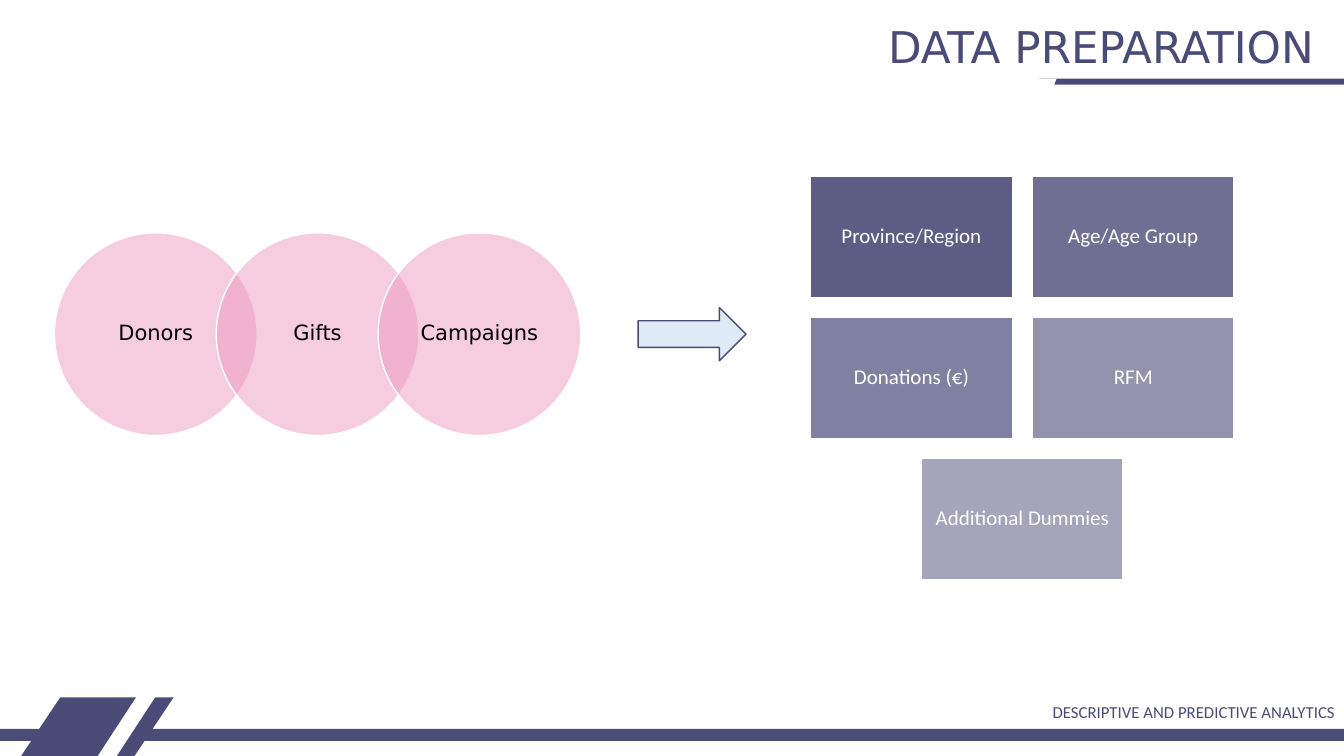
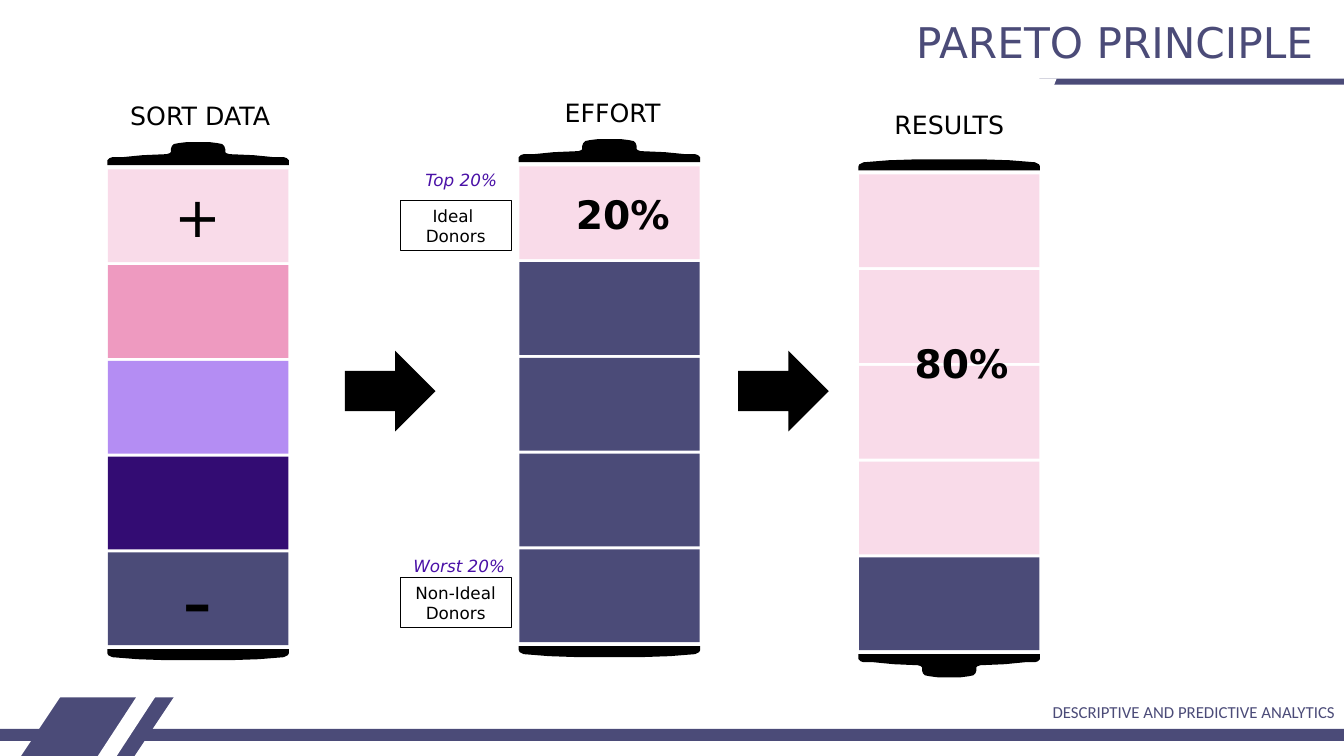
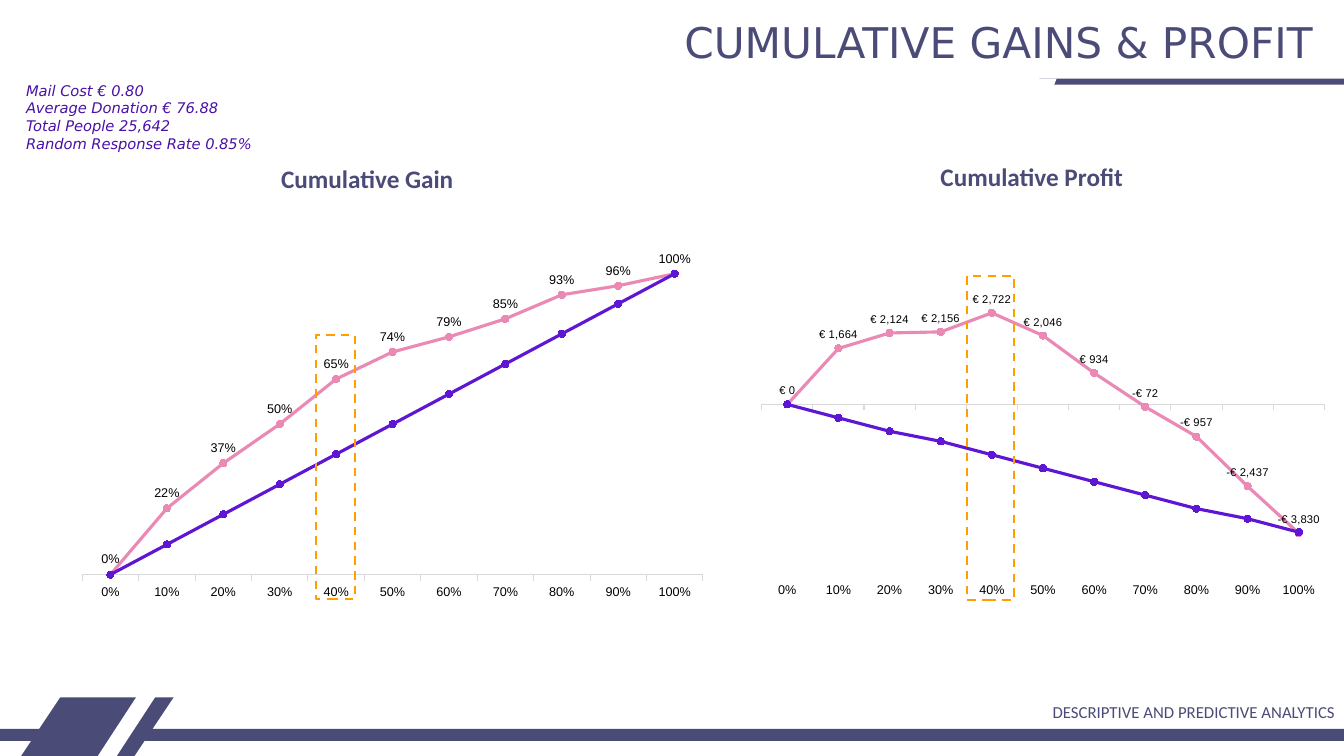
from lxml import etree
from pptx import Presentation
from pptx.chart.data import CategoryChartData
from pptx.dml.color import RGBColor
from pptx.enum.chart import (XL_CHART_TYPE, XL_LABEL_POSITION, XL_MARKER_STYLE,
                             XL_TICK_LABEL_POSITION, XL_TICK_MARK)
from pptx.enum.dml import MSO_LINE
from pptx.enum.shapes import MSO_SHAPE
from pptx.enum.text import MSO_ANCHOR, PP_ALIGN
from pptx.oxml.ns import qn
from pptx.util import Inches, Pt

COLORS = {
    "navy": "4B4B78", "white": "FFFFFF", "black": "000000", "ice": "DEEBF7",
    "blush": "F9DBE9", "pink": "EE9AC0", "lilac": "B48DF3", "indigo": "330C73",
    "violet": "4A11A7", "rose": "EB89B5", "purple": "5E16D4",
    "orange": "FF9E00", "grey": "D9D9D9",
}
HEADING, BODY, CHART = "DejaVu Sans", "Calibri", "Arial"
EURO = "[$€-2]\\ #,##0"

# Right half of each battery end: distance from the centre line, height off the flat edge
TERMINAL = [(0.9, 0), (0.9, 0.05), (0.88, 0.07), (0.85, 0.08), (0.75, 0.08),
            (0.55, 0.1), (0.31, 0.11), (0.28, 0.12), (0.27, 0.13), (0.27, 0.16),
            (0.26, 0.19), (0.24, 0.21), (0.19, 0.22), (0.11, 0.23), (0, 0.23)]
BASE = [(0.9, 0), (0.9, 0.04), (0.89, 0.06), (0.85, 0.08),
        (0.6, 0.1), (0.3, 0.11), (0, 0.11)]
CELL_WIDTH, CELL_HEIGHT, CELL_STEP = 1.79, 0.92, 0.95


def rgb(name):
    """Return the named colour."""
    return RGBColor.from_string(COLORS[name])


class Deck:
    """Holds the shared style and the slide being built."""

    def __init__(self):
        """Start an empty widescreen presentation."""
        self.prs = Presentation()
        self.prs.slide_width, self.prs.slide_height = Inches(13.33), Inches(7.5)
        self.slide = None

    def new_slide(self, title, left, top=0.17, size=30.2):
        """Add a slide with its bands, footer and right-aligned title."""
        self.slide = self.prs.slides.add_slide(self.prs.slide_layouts[6])
        slanted, block = MSO_SHAPE.PARALLELOGRAM, MSO_SHAPE.RECTANGLE
        self.shape(slanted, (0.21, 6.32, 1.91, 1.18), "navy", adjust=0.666)
        self.shape(block, (0, 7.23, 13.33, 0.12), "navy")
        self.shape(slanted, (0.97, 5.72, 1.35, 1.78), "white", adjust=0.861)
        self.shape(block, (10.31, 0.78, 3.02, 0.06), "navy")
        self.shape(slanted, (10.14, 0.78, 0.34, 0.31), "white", adjust=0.403)
        self.text((6.36, 6.91, 6.98, 0.3), ["DESCRIPTIVE AND PREDICTIVE ANALYTICS"],
                  12, "navy", BODY, PP_ALIGN.RIGHT)
        self.shape(block, (0.35, 4.89, 2.46, 2.03), "white")
        self.text((left, top, 13.13 - left, 0.65), [title], size, "navy",
                  align=PP_ALIGN.RIGHT, spacing=0.9)

    def add_lines(self, frame, lines, size, color="black", font=HEADING,
                  align=PP_ALIGN.CENTER, bold=False, italic=False, spacing=None):
        """Fill a text frame with one paragraph per line."""
        frame.word_wrap = True
        for number, line in enumerate(lines):
            paragraph = frame.add_paragraph() if number else frame.paragraphs[0]
            paragraph.alignment = align
            paragraph.line_spacing = spacing
            run = paragraph.add_run()
            run.text = line
            run.font.size, run.font.name = Pt(size), font
            run.font.bold, run.font.italic = bold, italic
            run.font.color.rgb = rgb(color)

    def text(self, box, lines, size, *style, **options):
        """Add a text box."""
        frame = self.slide.shapes.add_textbox(*map(Inches, box)).text_frame
        self.add_lines(frame, lines, size, *style, **options)

    def paint(self, shape, fill=None, line=None, width=1.0, alpha=None):
        """Set fill, opacity in percent and outline, without a shadow."""
        shape.shadow.inherit = False
        if fill:
            shape.fill.solid()
            shape.fill.fore_color.rgb = rgb(fill)
        else:
            shape.fill.background()
        if alpha:
            tint = next(shape.element.iter(qn("a:srgbClr")))
            etree.SubElement(tint, qn("a:alpha")).set("val", str(alpha * 1000))
        if line:
            shape.line.color.rgb = rgb(line)
            shape.line.width = Pt(width)
        else:
            shape.line.fill.background()

    def shape(self, kind, box, fill=None, adjust=None, **options):
        """Add a preset shape."""
        shape = self.slide.shapes.add_shape(kind, *map(Inches, box))
        if adjust is not None:
            shape.adjustments[0] = adjust
        self.paint(shape, fill, **options)
        return shape

    def labelled(self, kind, box, label, inset, alpha, fill, color, font):
        """Add a translucent shape with a centred label."""
        shape = self.shape(kind, box, fill, line="white", alpha=alpha)
        frame = shape.text_frame
        frame.margin_left = frame.margin_right = Inches(inset)
        frame.margin_top = frame.margin_bottom = Inches(0.02)
        frame.vertical_anchor = MSO_ANCHOR.MIDDLE
        self.add_lines(frame, [label], 15, color, font, spacing=0.9)

    def battery_end(self, half, center, edge, direction):
        """Draw a symmetric end; direction is -1 upwards and 1 downwards."""
        outline = half + [(-x, y) for x, y in reversed(half[:-1])]
        points = [(Inches(center + x), Inches(edge + direction * y)) for x, y in outline]
        builder = self.slide.shapes.build_freeform(*points[0])
        builder.add_line_segments(points[1:], close=True)
        self.paint(builder.convert_to_shape(), "black")

    def battery(self, name, name_box, left, top, cells, inverted=False):
        """Draw a battery of coloured cells under its name."""
        center = left + CELL_WIDTH / 2
        upper, lower = (BASE, TERMINAL) if inverted else (TERMINAL, BASE)
        self.battery_end(upper, center, top - 0.04, -1)
        self.battery_end(lower, center, top + 4.76, 1)
        for row, color in enumerate(cells):
            self.shape(MSO_SHAPE.RECTANGLE,
                       (left, top + row * CELL_STEP, CELL_WIDTH, CELL_HEIGHT), color)
        self.text((*name_box, CELL_WIDTH, 0.4), [name], 18)

    def line_chart(self, box, plot, model, baseline, limits, label_format, label_size):
        """Add a chart comparing the model with the random baseline."""
        data = CategoryChartData()
        data.categories = [step / 10 for step in range(11)]
        data.categories.number_format = "0%"
        data.add_series("Series 1", model, label_format)
        data.add_series("Series 2", baseline, label_format)
        chart = self.slide.shapes.add_chart(
            XL_CHART_TYPE.LINE_MARKERS, *map(Inches, box), data).chart
        chart.has_legend = chart.has_title = False
        chart.font.name, chart.font.size = CHART, Pt(9)
        chart.font.color.rgb = rgb("black")
        chart.plots[0].vary_by_categories = False

        values, shares = chart.value_axis, chart.category_axis
        values.minimum_scale, values.maximum_scale = limits
        values.has_major_gridlines = values.visible = False
        shares.tick_labels.number_format = "0%"
        shares.tick_labels.number_format_is_linked = False
        shares.major_tick_mark = XL_TICK_MARK.OUTSIDE
        shares.format.line.color.rgb = rgb("grey")
        shares.format.line.width = Pt(0.75)
        if min(model) < 0:
            shares.tick_label_position = XL_TICK_LABEL_POSITION.LOW

        for series, color in zip(chart.plots[0].series, ("rose", "purple")):
            series.smooth = False
            series.format.line.color.rgb = rgb(color)
            series.format.line.width = Pt(2.25)
            series.marker.style, series.marker.size = XL_MARKER_STYLE.CIRCLE, 5
            series.marker.format.fill.solid()
            series.marker.format.fill.fore_color.rgb = rgb(color)
            series.marker.format.line.color.rgb = rgb(color)
        labels = chart.plots[0].series[0].data_labels
        labels.show_value, labels.position = True, XL_LABEL_POSITION.ABOVE
        labels.number_format, labels.number_format_is_linked = label_format, False
        labels.font.name, labels.font.size = CHART, Pt(label_size)
        labels.font.color.rgb = rgb("black")
        self.place_plot(chart, plot)

    def place_plot(self, chart, plot):
        """Fix the inner plot area as fractions of the chart."""
        area = next(chart.element.iter(qn("c:plotArea")))
        for automatic in area.findall(qn("c:layout")):
            area.remove(automatic)
        layout = etree.Element(qn("c:layout"))
        area.insert(0, layout)
        manual = etree.SubElement(layout, qn("c:manualLayout"))
        settings = [("layoutTarget", "inner"), ("xMode", "edge"), ("yMode", "edge")]
        for tag, value in settings + list(zip("xywh", plot)):
            etree.SubElement(manual, qn("c:" + tag)).set("val", str(value))


def data_preparation(deck):
    """Build the slide on joined sources and derived variables."""
    deck.new_slide("DATA PREPARATION", 7.31, 0.21, 31.2)
    for column, source in enumerate(("Donors", "Gifts", "Campaigns")):
        deck.labelled(MSO_SHAPE.OVAL, (0.54 + column * 1.605, 2.31, 2.01, 2.01),
                      source, 0.1, 50, "pink", "black", HEADING)
    variables = ("Province/Region", "Age/Age Group", "Donations (€)", "RFM",
                 "Additional Dummies")
    for number, variable in enumerate(variables):
        row, column = divmod(number, 2)
        left = 9.14 if row == 2 else 8.04 + column * 2.2
        deck.labelled(MSO_SHAPE.RECTANGLE, (left, 1.75 + row * 1.4, 2, 1.2),
                      variable, 0.06, 90 - number * 10, "navy", "white", BODY)
    deck.shape(MSO_SHAPE.RIGHT_ARROW, (6.33, 3.05, 1.07, 0.53), "ice", line="navy")


def pareto_principle(deck):
    """Build the slide with the three batteries."""
    deck.new_slide("PARETO PRINCIPLE", 7.01)
    deck.battery("EFFORT", (5.18, 0.92), 5.15, 1.65, ["blush"] + ["navy"] * 4)
    deck.battery("RESULTS", (8.52, 1.04), 8.52, 1.73, ["blush"] * 4 + ["navy"],
                 inverted=True)
    deck.battery("SORT DATA", (1.09, 0.95), 1.07, 1.68,
                 ["blush", "pink", "lilac", "indigo", "navy"])
    for left in (3.42, 7.32):
        deck.shape(MSO_SHAPE.RIGHT_ARROW, (left, 3.48, 0.9, 0.8), "black")
    for share, left, top in (("20%", 5.38, 1.84), ("80%", 8.74, 3.32)):
        deck.text((left, top, 1.36, 0.57), [share], 28, align=PP_ALIGN.RIGHT, bold=True)
    deck.text((1.07, 1.75, 1.79, 0.77), ["+"], 40)
    deck.text((1.07, 5.38, 1.79, 1.11), ["-"], 60)
    for lines, top in ((["Ideal ", "Donors"], 1.99), (["Non-Ideal", "Donors"], 5.73)):
        donors = deck.shape(MSO_SHAPE.RECTANGLE, (3.97, top, 1.1, 0.5),
                            line="black", width=0.75)
        deck.add_lines(donors.text_frame, lines, 12)
    for rank, top, width in (("Top 20%", 1.63, 1.83), ("Worst 20%", 5.46, 1.79)):
        deck.text((3.66, top, width, 0.3), [rank], 12, "violet", italic=True)


def gains_and_profit(deck):
    """Build the slide with the gain and profit charts."""
    deck.new_slide("CUMULATIVE GAINS & PROFIT", 6.03)
    deck.line_chart(
        (0.68, 2.25, 6.46, 3.89), (0.021, 0.043, 0.953, 0.921),
        [0, 0.22, 0.37, 0.5, 0.65, 0.74, 0.79, 0.85, 0.93, 0.96, 1],
        [step / 10 for step in range(11)], (-0.1, 1.1), "0%", 9)
    deck.line_chart(
        (7.06, 2.25, 6.27, 3.89), (0.079, 0.11, 0.89, 0.772),
        [0, 1664, 2124, 2156, 2722, 2046, 934, -72, -957, -2437, -3830],
        [0, -400, -800, -1100, -1500, -1900, -2300, -2700, -3100, -3400, -3800],
        (-5000, 4000), EURO, 8)
    for heading, left, top, width in (("Cumulative Gain", 2.69, 1.57, 1.93),
                                      ("Cumulative Profit", 9.23, 1.55, 2.03)):
        deck.text((left, top, width, 0.4), [heading], 18, "navy", BODY,
                  PP_ALIGN.LEFT, bold=True)
    for optimum in ((9.59, 2.74, 0.47, 3.21), (3.13, 3.32, 0.39, 2.62)):
        highlight = deck.shape(MSO_SHAPE.RECTANGLE, optimum, line="orange", width=1.5)
        highlight.line.dash_style = MSO_LINE.DASH
    assumptions = ["Mail Cost € 0.80", "Average Donation € 76.88",
                   "Total People 25,642", "Random Response Rate 0.85% "]
    deck.text((0.16, 0.76, 2.53, 0.81), assumptions, 10.5, "violet",
              align=PP_ALIGN.LEFT, italic=True)


deck = Deck()
data_preparation(deck)
pareto_principle(deck)
gains_and_profit(deck)
deck.prs.save("out.pptx")
